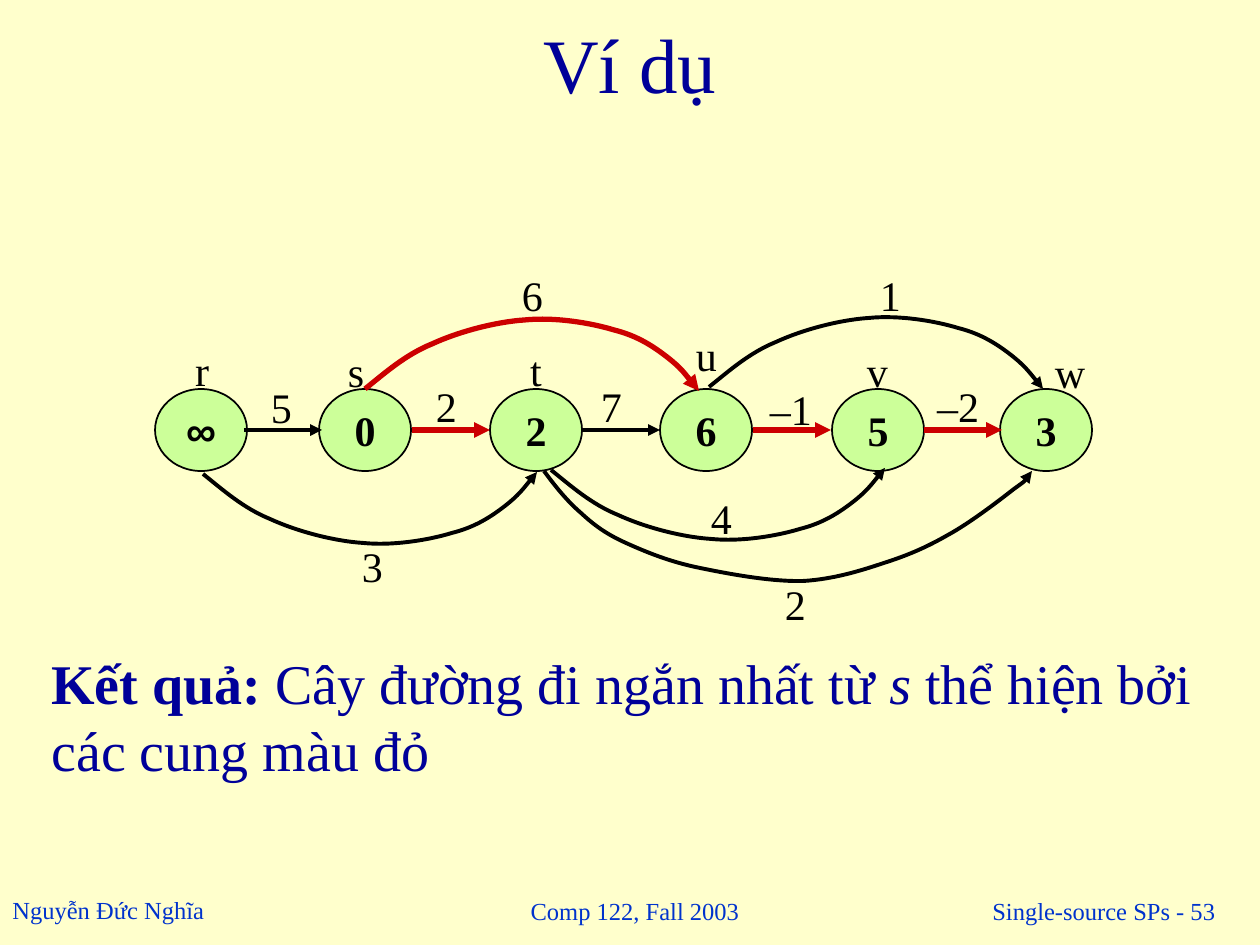
from lxml import etree
from pptx import Presentation
from pptx.dml.color import RGBColor
from pptx.enum.shapes import MSO_CONNECTOR, MSO_SHAPE
from pptx.enum.text import MSO_ANCHOR, PP_ALIGN
from pptx.oxml.ns import qn
from pptx.util import Pt

PX = 914400 / 126
FONT = "Times New Roman"
COLORS = {
    "background": "FFFFCC",
    "heading": "000099",
    "footer": "0033CC",
    "node": "CCFF99",
    "ink": "000000",
    "tree": "CC0000",
}

NODE_W, NODE_H, NODE_TOP = 92, 82, 126
# left of node, value, name, centre and top of name
NODES = [
    (0, "∞", "r", 47, 75),
    (164, "0", "s", 201, 76),
    (335, "2", "t", 381, 75),
    (505, "6", "u", 551, 60),
    (677, "5", "v", 722, 76),
    (845, "3", "w", 910, 77),
]
# start of edge, weight, centre and top of weight, on the shortest-path tree
STRAIGHT_EDGES = [
    (89, "5", 126, 112, False),
    (257, "2", 291, 111, True),
    (427, "7", 456, 111, False),
    (598, "–1", 636, 114, True),
    (769, "–2", 803, 111, True),
]
EDGE_LENGTH = 78

# Bezier points after the start of each curve: two handles, then an end
ARC = [
    (20, -16), (40, -34), (67, -45), (93, -57), (130, -67), (160, -69),
    (190, -72), (226, -66), (249, -59), (273, -53), (289, -42), (302, -32),
    (316, -21), (325, -9), (334, 2),
]
ARC_BELOW = [(x, -y) for x, y in ARC]
LONG_ARC = [
    (11, 15), (23, 30), (37, 42), (50, 54), (62, 63), (82, 72),
    (102, 81), (126, 91), (156, 97), (185, 103), (228, 111), (260, 110),
    (290, 108), (316, 100), (340, 92), (365, 84), (383, 76), (404, 64),
    (426, 52), (456, 29), (470, 18), (484, 8), (486, 4), (488, 0),
]
# start, curve, weight, centre and top of weight, on the shortest-path tree
CURVED_EDGES = [
    (210, 126, ARC, "6", 377, 0, True),
    (554, 124, ARC, "1", 735, 0, False),
    (48, 211, ARC_BELOW, "3", 217, 271, False),
    (396, 207, ARC_BELOW, "4", 566, 223, False),
    (389, 208, LONG_ARC, "2", 640, 309, False),
]


def emu(*lengths):
    return [round(n * PX) for n in lengths]


def rgb(name):
    return RGBColor.from_string(COLORS[name])


def write(shape, runs, size, color, align=PP_ALIGN.LEFT, anchor=MSO_ANCHOR.MIDDLE,
          wrap=False, font=FONT):
    """Fill a shape with one paragraph of (text, bold, italic) runs."""
    tf = shape.text_frame
    tf.word_wrap = wrap
    tf.vertical_anchor = anchor
    p = tf.paragraphs[0]
    p.alignment = align
    for text, bold, italic in runs:
        r = p.add_run()
        r.text = text
        r.font.name = font
        r.font.size = Pt(size)
        r.font.bold = bold
        r.font.italic = italic
        r.font.color.rgb = rgb(color)


def add_text(slide, box, text, size, color, **style):
    tb = slide.shapes.add_textbox(*emu(*box))
    write(tb, [(text, False, False)], size, color, **style)


def add_label(slide, center, top, text):
    width = 45 if len(text) == 1 else 67
    add_text(slide, (center - width / 2, top, width, 63), text, 24, "ink",
             align=PP_ALIGN.CENTER, anchor=MSO_ANCHOR.TOP)


def style_edge(shape, in_tree):
    """Colour an edge and give it an arrowhead, without a shadow."""
    shape.line.color.rgb = rgb("tree" if in_tree else "ink")
    shape.line.width = Pt(3 if in_tree else 2.25)
    spPr = shape._element.spPr
    etree.SubElement(spPr.find(qn("a:ln")), qn("a:tailEnd"), type="triangle")
    if spPr.find(qn("a:effectLst")) is None:
        etree.SubElement(spPr, qn("a:effectLst"))


def add_curve(slide, x, y, points):
    """Draw an open freeform whose segments are cubic curves."""
    builder = slide.shapes.build_freeform(x, y, scale=PX)
    builder.add_line_segments([(x + dx, y + dy) for dx, dy in points], close=False)
    sp = builder.convert_to_shape()
    sp.fill.background()
    outline = sp._element.find(".//" + qn("a:path"))
    lines = outline.findall(qn("a:lnTo"))
    for i in range(0, len(lines), 3):
        cubic = etree.SubElement(outline, qn("a:cubicBezTo"))
        for line in lines[i:i + 3]:
            cubic.append(line[0])
            outline.remove(line)
    return sp


def add_graph(slide, left, top):
    # Nodes
    for x, value, *_ in NODES:
        sp = slide.shapes.add_shape(
            MSO_SHAPE.OVAL, *emu(left + x, top + NODE_TOP, NODE_W, NODE_H))
        sp.shadow.inherit = False
        sp.fill.solid()
        sp.fill.fore_color.rgb = rgb("node")
        sp.line.color.rgb = rgb("ink")
        sp.line.width = Pt(1)
        write(sp, [(value, True, False)], 24, "ink", align=PP_ALIGN.CENTER,
              font="Arial" if value == "∞" else FONT)

    # Edges
    y = top + NODE_TOP + NODE_H // 2
    for x, *_, in_tree in STRAIGHT_EDGES:
        line = slide.shapes.add_connector(
            MSO_CONNECTOR.STRAIGHT, *emu(left + x, y, left + x + EDGE_LENGTH, y))
        style_edge(line, in_tree)
    for x, y, points, *_, in_tree in CURVED_EDGES:
        style_edge(add_curve(slide, left + x, top + y, points), in_tree)

    # Names and weights
    labels = [node[2:] for node in NODES]
    labels += [edge[-4:-1] for edge in STRAIGHT_EDGES + CURVED_EDGES]
    for text, center, label_top in labels:
        add_label(slide, left + center, top + label_top, text)


def add_result(slide, box):
    tb = slide.shapes.add_textbox(*emu(*box))
    write(tb, [("Kết quả: ", True, False),
               ("Cây đường đi ngắn nhất từ ", False, False),
               ("s", False, True),
               (" thể hiện bởi các cung màu đỏ", False, False)],
          32, "heading", wrap=True)


def add_footer(slide, left, top):
    add_text(slide, (left, top + 10, 217, 43), "Nguyễn Đức Nghĩa", 14, "footer",
             anchor=MSO_ANCHOR.TOP)
    add_text(slide, (left + 504, top, 262, 63), "Comp 122, Fall 2003", 14, "footer",
             align=PP_ALIGN.CENTER)
    add_text(slide, (left + 948, top + 5, 280, 53), "Single-source SPs - 53", 14,
             "footer", align=PP_ALIGN.RIGHT)


def main():
    prs = Presentation()
    prs.slide_width, prs.slide_height = emu(1260, 945)
    s = prs.slides.add_slide(prs.slide_layouts[6])
    s.background.fill.solid()
    s.background.fill.fore_color.rgb = rgb("background")

    add_footer(s, 0, 879)
    add_text(s, (0, 0, 1260, 126), "Ví dụ", 44, "heading",
             align=PP_ALIGN.CENTER, wrap=True)
    add_graph(s, 155, 263)
    add_result(s, (39, 653, 1196, 126))
    prs.save("out.pptx")


if __name__ == "__main__":
    main()
